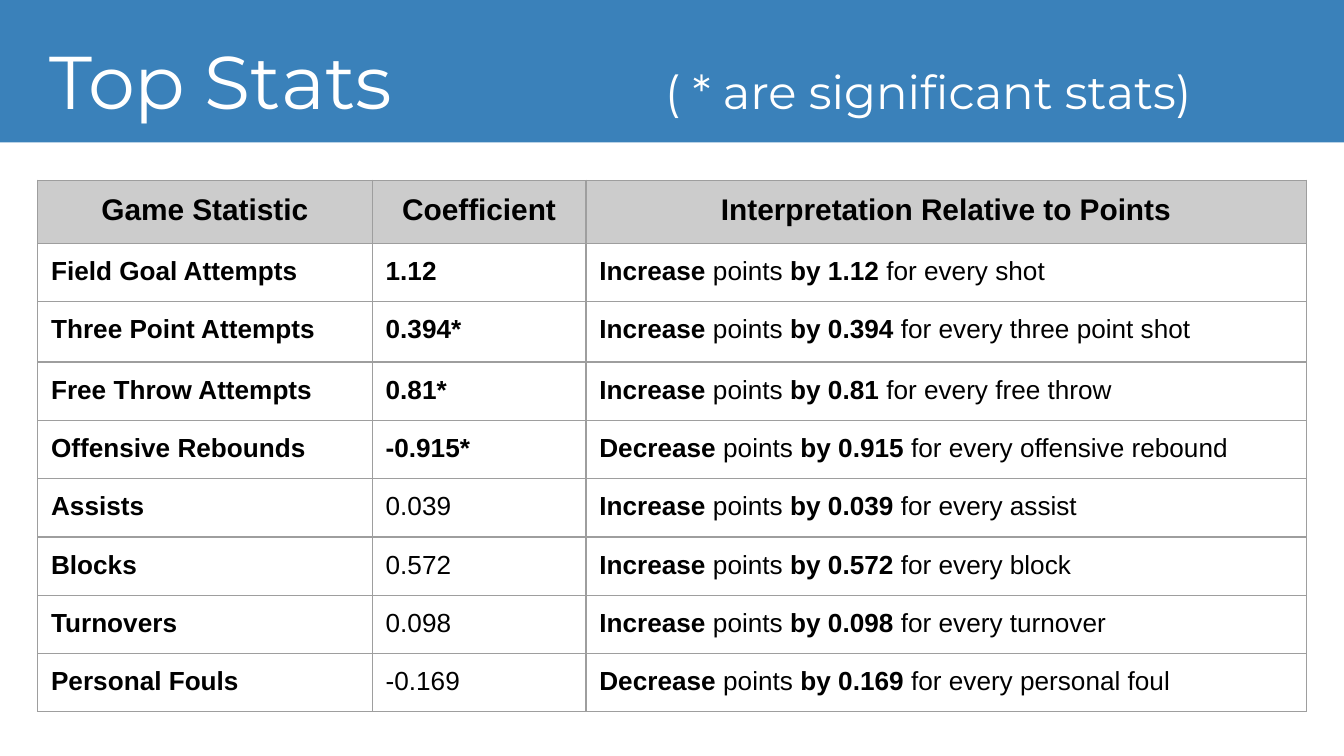
from dataclasses import dataclass

from lxml.etree import SubElement
from pptx import Presentation
from pptx.dml.color import RGBColor as RGB
from pptx.enum.shapes import MSO_SHAPE as SHAPE
from pptx.enum.text import MSO_ANCHOR as ANCHOR, PP_ALIGN as ALIGN
from pptx.oxml.ns import qn
from pptx.util import Inches, Pt


@dataclass(frozen=True)
class Theme:
    banner: RGB = RGB(0x3A, 0x81, 0xBA)
    title: RGB = RGB(0xFF, 0xFF, 0xFF)
    header: RGB = RGB(0xCC, 0xCC, 0xCC)
    text: RGB = RGB(0, 0, 0)
    border: RGB = RGB(0x9E, 0x9E, 0x9E)
    title_font: str = "Montserrat"
    table_font: str = "Arial"
    title_size: int = 40
    note_size: int = 25
    header_size: int = 16
    body_size: int = 14
    border_width: float = 0.75


THEME = Theme()
HEADERS = ["Game Statistic", "Coefficient", "Interpretation Relative to Points"]
STATS = [
    ("Field Goal Attempts", "1.12", True, "shot"),
    ("Three Point Attempts", "0.394*", True, "three point shot"),
    ("Free Throw Attempts", "0.81*", True, "free throw"),
    ("Offensive Rebounds", "-0.915*", True, "offensive rebound"),
    ("Assists", "0.039", False, "assist"),
    ("Blocks", "0.572", False, "block"),
    ("Turnovers", "0.098", False, "turnover"),
    ("Personal Fouls", "-0.169", False, "personal foul"),
]
COL_WIDTHS = [2.49, 1.59, 5.36]
ROW_HEIGHTS = [0.47, 0.43, 0.45] + [0.43] * 6


def set_margins(target):
    target.margin_left = target.margin_right = Inches(0.1)
    target.margin_top = target.margin_bottom = Inches(0.1)


def add_banner(s):
    sp = s.shapes.add_shape(SHAPE.RECTANGLE, 0, 0, Inches(10), Inches(1.06))
    sp.shadow.inherit = False
    sp.fill.solid()
    sp.fill.fore_color.rgb = THEME.banner
    sp.line.fill.background()


def add_tab_stop(p, position):
    tabs = SubElement(p._p.get_or_add_pPr(), qn("a:tabLst"))
    SubElement(tabs, qn("a:tab"), pos=str(position), algn="l")


def add_title(s, title, note):
    sp = s.shapes.add_textbox(Inches(0.27), Inches(0.16), Inches(8.78), Inches(0.87))
    tf = sp.text_frame
    tf.word_wrap = True
    set_margins(tf)
    p = tf.paragraphs[0]
    add_tab_stop(p, Inches(4.58))
    p.font.name = THEME.title_font
    p.font.color.rgb = THEME.title
    for text, size in [(title + "\t", THEME.title_size), (note, THEME.note_size)]:
        r = p.add_run()
        r.text = text
        r.font.name = THEME.title_font
        r.font.size = Pt(size)
        r.font.color.rgb = THEME.title


def add_borders(cell):
    tc_pr = cell._tc.get_or_add_tcPr()
    for side in ("lnL", "lnR", "lnT", "lnB"):
        ln = SubElement(tc_pr, qn(f"a:{side}"), w=str(Pt(THEME.border_width)))
        fill = SubElement(ln, qn("a:solidFill"))
        SubElement(fill, qn("a:srgbClr"), val=str(THEME.border))


def fill_cell(cell, runs, size=THEME.body_size, align=ALIGN.LEFT, fill=None):
    set_margins(cell)
    cell.vertical_anchor = ANCHOR.TOP
    add_borders(cell)
    if fill is None:
        cell.fill.background()
    else:
        cell.fill.solid()
        cell.fill.fore_color.rgb = fill
    p = cell.text_frame.paragraphs[0]
    p.alignment = align
    p.font.name = THEME.table_font
    p.font.size = Pt(size)
    p.font.color.rgb = THEME.text
    for text, bold in runs:
        r = p.add_run()
        r.text = text
        r.font.name = THEME.table_font
        r.font.size = Pt(size)
        r.font.bold = bold
        r.font.color.rgb = THEME.text


def interpretation(coefficient, event):
    verb = "Decrease" if coefficient.startswith("-") else "Increase"
    amount = coefficient.strip("-*")
    return [(verb, True), (" points ", False), (f"by {amount}", True),
            (f" for every {event}", False)]


def add_stats_table(s):
    frame = s.shapes.add_table(
        len(STATS) + 1, len(HEADERS), Inches(0.28), Inches(1.34),
        Inches(sum(COL_WIDTHS)), Inches(sum(ROW_HEIGHTS)))
    table = frame.table
    table.horz_banding = False
    for column, width in zip(table.columns, COL_WIDTHS):
        column.width = Inches(width)
    for row, height in zip(table.rows, ROW_HEIGHTS):
        row.height = Inches(height)
    for col, header in enumerate(HEADERS):
        fill_cell(table.cell(0, col), [(header, True)],
                  THEME.header_size, ALIGN.CENTER, THEME.header)
    for row, (name, coefficient, bold, event) in enumerate(STATS, 1):
        fill_cell(table.cell(row, 0), [(name, True)])
        fill_cell(table.cell(row, 1), [(coefficient, bold)])
        fill_cell(table.cell(row, 2), interpretation(coefficient, event))


def main():
    prs = Presentation()
    prs.slide_width = Inches(10)
    prs.slide_height = prs.slide_width * 9 // 16
    s = prs.slides.add_slide(prs.slide_layouts[6])
    add_banner(s)
    add_title(s, "Top Stats", "( * are significant stats)")
    add_stats_table(s)
    prs.save("out.pptx")


if __name__ == "__main__":
    main()
